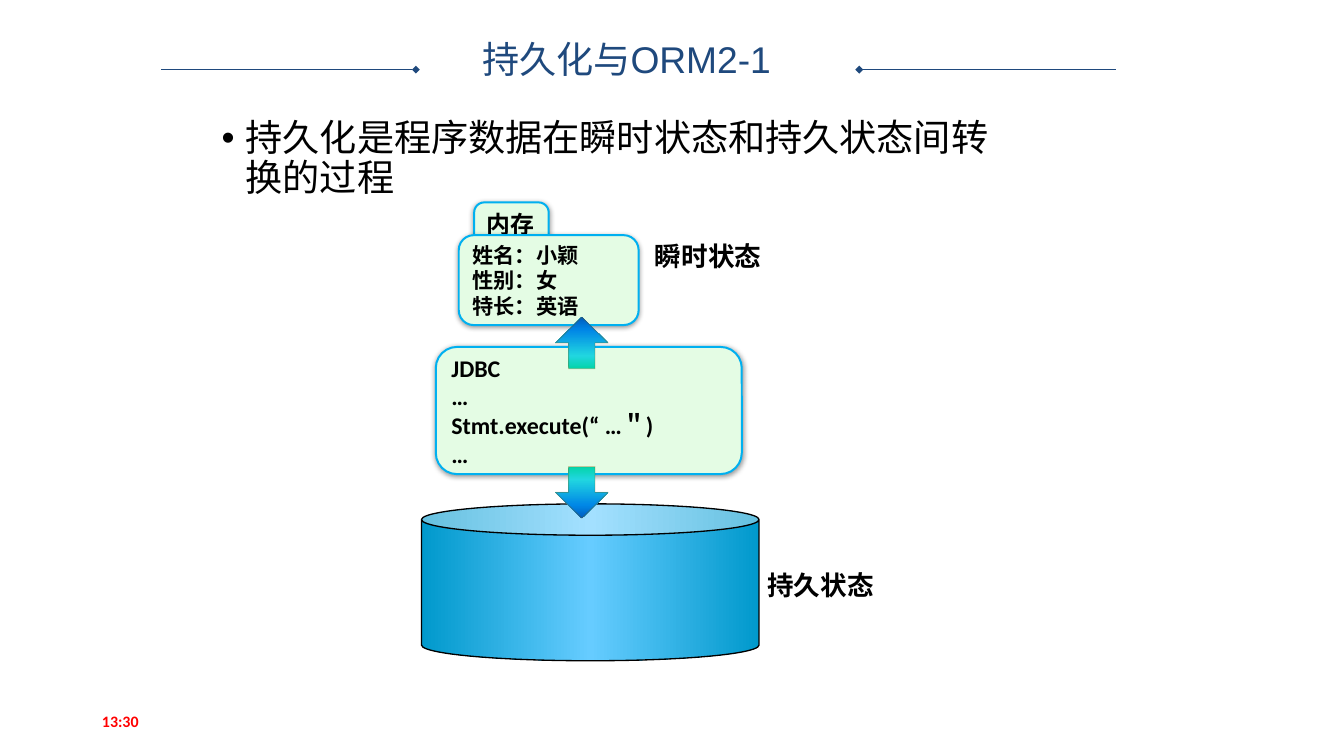
from lxml import etree
from pptx import Presentation
from pptx.dml.color import RGBColor
from pptx.enum import shapes, text
from pptx.oxml import ns
from pptx.util import Cm, Pt

KIND = shapes.MSO_SHAPE
ALIGN = text.PP_ALIGN
ANCHOR = text.MSO_ANCHOR


def rgb(code):
    return RGBColor.from_string(code)


def sub(node, tag, **attrs):
    """Append a DrawingML child element with the given attributes."""
    child = etree.SubElement(node, ns.qn("a:" + tag))
    for key, val in attrs.items():
        child.set(key, str(val))
    return child


class Board:
    navy, black, red = "1F497D", "000000", "FF0000"
    mint, sky = "E4FCE4", "00B0F0"
    steel = [(0, "0099CC"), (50, "66CCFF"), (100, "0099CC")]
    sea = [(0, "03D4A8"), (25, "21D6E0"), (75, "0087E6"), (100, "005CBF")]

    def __init__(self, slide):
        self.slide = slide

    def letter(self, shape, lines, size, color=black, bold=True,
               face="Calibri", anchor=ANCHOR.TOP, hang=0, bullet=None, **para):
        """Set the text of a shape and its format."""
        frame = shape.text_frame
        form = {"word_wrap": True, "auto_size": text.MSO_AUTO_SIZE.NONE,
                "vertical_anchor": anchor}
        for key, val in form.items():
            setattr(frame, key, val)
        frame.text = "\n".join(lines)
        for par in frame.paragraphs:
            props = par._p.get_or_add_pPr()
            props.set("marL", str(Cm(hang)))
            props.set("indent", str(-Cm(hang)))
            if bullet:
                sub(props, "buFont", typeface="Arial")
                sub(props, "buChar", char=bullet)
            for key, val in {"alignment": ALIGN.LEFT, **para}.items():
                setattr(par, key, val)
            font = {"size": Pt(size), "bold": bold, "name": face}
            for key, val in font.items():
                setattr(par.font, key, val)
            par.font.color.rgb = rgb(color)

    def title(self, box, words, **form):
        shape = self.slide.shapes.title
        for key, val in zip(("left", "top", "width", "height"), box):
            setattr(shape, key, Cm(val))
        self.letter(shape, [words], **form)

    def label(self, box, words, **form):
        shape = self.slide.shapes.add_textbox(*map(Cm, box))
        self.letter(shape, [words], **form)

    def shape(self, kind, box, edge, width):
        shape = self.slide.shapes.add_shape(kind, *map(Cm, box))
        shape.shadow.inherit = False
        shape.line.color.rgb = rgb(edge)
        shape.line.width = Pt(width)
        return shape

    def blend(self, shape, stops, angle):
        """Fill a shape with a gradient; the angle runs counter-clockwise."""
        shape.fill.gradient()
        shape.fill.gradient_angle = angle
        ramp = shape._element.spPr.find(".//" + ns.qn("a:gsLst"))
        for old in list(ramp):
            ramp.remove(old)
        for pos, code in stops:
            sub(sub(ramp, "gs", pos=pos * 1000), "srgbClr", val=code)

    def panel(self, box, lines, size, anchor=ANCHOR.MIDDLE):
        shape = self.shape(KIND.ROUNDED_RECTANGLE, box, self.sky, 1.5)
        shape.fill.solid()
        shape.fill.fore_color.rgb = rgb(self.mint)
        effects = shape._element.spPr.find(ns.qn("a:effectLst"))
        shade = sub(effects, "outerShdw", blurRad=int(Pt(4)), dist=int(Pt(1)),
                    dir=5400000, rotWithShape=0)
        sub(sub(shade, "srgbClr", val=self.black), "alpha", val=40000)
        self.letter(shape, lines, size, anchor=anchor, hang=0.79)

    def store(self, box):
        shape = self.shape(KIND.CAN, box, self.black, 1)
        shape.adjustments[0] = 0.2
        self.blend(shape, self.steel, 0)

    def arrow(self, kind, top, angle):
        shape = self.shape(kind, (14.76, top, 1.4, 1.37), "755700", 0.75)
        self.blend(shape, self.sea, angle)
        edge = shape._element.spPr.find(".//%s//%s" % (ns.qn("a:ln"),
                                                       ns.qn("a:srgbClr")))
        sub(edge, "alpha", val=31000)

    def rule(self, start, end, y=1.85):
        line = self.slide.shapes.add_connector(
            shapes.MSO_CONNECTOR.STRAIGHT, Cm(start), Cm(y), Cm(end), Cm(y))
        line.line.color.rgb = rgb(self.navy)
        line.line.width = Pt(0.25)
        props = line._element.spPr
        sub(props.find(ns.qn("a:ln")), "headEnd", type="diamond")
        sub(props, "effectLst")


def main():
    deck = Presentation()
    deck.slide_width, deck.slide_height = Cm(35.71), Cm(20.09)
    board = Board(deck.slides.add_slide(deck.slide_layouts[5]))

    board.rule(11.05, 4.27)
    board.rule(22.83, 29.64)
    board.title((8.86, 1.04, 15.57, 1.19), "持久化与ORM2-1", size=28,
                color=board.navy, bold=False, face="Arial",
                anchor=ANCHOR.MIDDLE, alignment=ALIGN.CENTER, line_spacing=0.9)
    board.label((2.46, 18.62, 8.03, 1.07), "13:30", size=12, color=board.red,
                anchor=ANCHOR.MIDDLE)
    board.label((5.64, 3.05, 21.64, 2.79),
                "持久化是程序数据在瞬时状态和持久状态间转换的过程", size=28,
                bold=False, hang=0.64, bullet="•", line_spacing=0.9)

    board.panel((12.6, 5.38, 1.98, 1.6), ["内存"], 18, ANCHOR.TOP)
    board.panel((12.19, 6.25, 4.78, 2.39),
                ["姓名：小颖", "性别：女", "特长：英语"], 16)
    board.panel((11.58, 9.22, 8.13, 3.38),
                ["JDBC", "…", "Stmt.execute(“ …＂)", "…"], 18)
    board.store((11.2, 13.39, 8.97, 4.17))

    board.arrow(KIND.DOWN_ARROW, 12.4, 270)
    board.arrow(KIND.UP_ARROW, 8.43, 90)
    board.label((17.15, 6.25, 10.92, 1.78), "瞬时状态", size=20, hang=0.97)
    board.label((20.14, 14.99, 5.54, 1.78), "持久状态", size=20, hang=0.97)
    deck.save("out.pptx")


if __name__ == "__main__":
    main()
